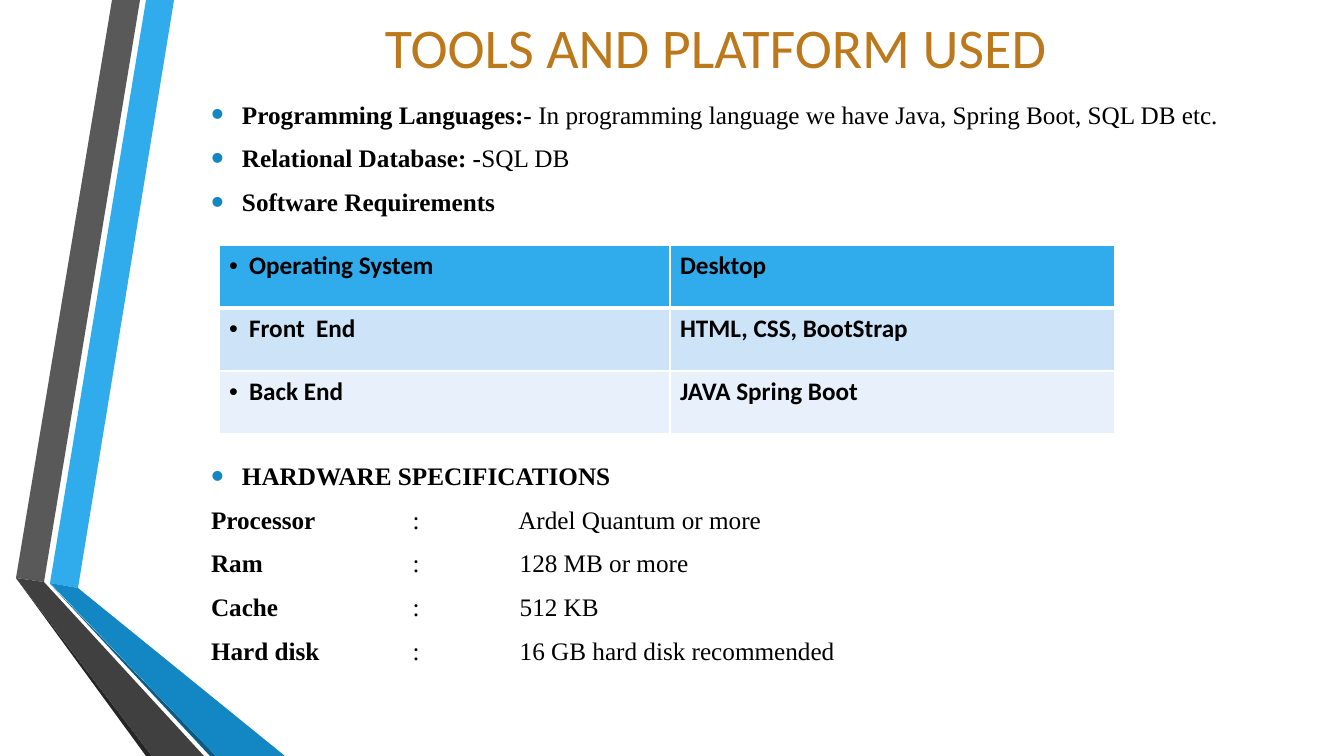
import pptx
import pptx.dml.color
import pptx.enum.text
import pptx.oxml
import pptx.oxml.ns
import pptx.util

RGB = pptx.dml.color.RGBColor
ALIGN = pptx.enum.text.PP_ALIGN
ANCHOR = pptx.enum.text.MSO_ANCHOR
FIT = pptx.enum.text.MSO_AUTO_SIZE
Pt = pptx.util.Pt

SCALE = 914400 / 100.8

BLACK = RGB(0x00, 0x00, 0x00)
GOLD = RGB(0xBC, 0x79, 0x1C)
SKY = RGB(0x30, 0xAC, 0xEC)
BLUE = RGB(0x12, 0x87, 0xC3)
NAVY = RGB(0x0C, 0x5A, 0x82)
GREY = RGB(0x59, 0x59, 0x59)
DARK = RGB(0x40, 0x40, 0x40)
COAL = RGB(0x26, 0x26, 0x26)
PALE = RGB(0xCD, 0xE3, 0xF8)
MIST = RGB(0xE8, 0xF1, 0xFB)
WHITE = RGB(0xFF, 0xFF, 0xFF)

RIBBON = [
    (SKY, [(50, 583), (78, 588), (174, 0), (146, 0)]),
    (GREY, [(140, 0), (112, 0), (16, 578), (44, 582)]),
    (COAL, [(16, 578), (146, 756), (152, 756)]),
    (NAVY, [(50, 584), (210, 756), (216, 756)]),
    (BLUE, [(50, 583), (216, 756), (285, 756), (78, 588)]),
    (DARK, [(204, 756), (44, 582), (16, 578), (152, 756)]),
]
TOPICS = [
    ("Programming Languages:-",
     " In programming language we have Java, Spring Boot, SQL DB etc."),
    ("Relational Database: -", "SQL DB"),
    ("Software Requirements", ""),
    ("HARDWARE SPECIFICATIONS", ""),
]
# Label, tabs up to the colon, value
PARTS = [
    ("Processor", 2, "Ardel Quantum or more"),
    ("Ram", 3, "128 MB or more"),
    ("Cache", 3, "512 KB"),
    ("Hard disk", 2, "16 GB hard disk recommended"),
]
TOOLS = [
    (SKY, 3, "Operating System", "Desktop"),
    (PALE, 1, "Front  End", "HTML, CSS, BootStrap"),
    (MIST, 1, "Back End", "JAVA Spring Boot"),
]

HEAD = {"name": "Calibri", "size": Pt(40), "bold": False}
PLAIN = {"name": "Times New Roman", "size": Pt(18), "bold": False}
STRONG = {**PLAIN, "bold": True}
CELL = {"name": "Calibri", "size": Pt(18), "bold": True}
FRAME = {"word_wrap": True, "auto_size": FIT.NONE,
         "margin_left": 0, "margin_right": 0,
         "margin_top": 0, "margin_bottom": 0}
GAPS = {"space_before": Pt(3.6), "space_after": Pt(6),
        "line_spacing": 1.0, "alignment": ALIGN.LEFT}
TABLE_GAP = Pt(168)


def px(n):
    return round(n * SCALE)


def apply(item, look):
    for key, value in look.items():
        setattr(item, key, value)


def place(shape, left, top, width, height):
    apply(shape, {"left": px(left), "top": px(top),
                  "width": px(width), "height": px(height)})


def write(para, text, look, color=BLACK):
    run = para.add_run()
    run.text = text
    apply(run.font, look)
    run.font.color.rgb = color


def add_xml(parent, xml):
    names = pptx.oxml.ns.nsdecls("a")
    parent.append(pptx.oxml.parse_xml(xml.replace(" ", f" {names} ", 1)))


def indent(para, left, hang):
    props = para._p.get_or_add_pPr()
    props.set("marL", str(px(left)))
    props.set("indent", str(px(-hang)))
    return props


def bullet(para, hang, color, size):
    props = indent(para, hang, hang)
    add_xml(props, f'<a:buClr ><a:srgbClr val="{color}"/></a:buClr>')
    add_xml(props, f'<a:buSzPct val="{size * 1000}"/>')
    add_xml(props, '<a:buFont typeface="Arial"/>')
    add_xml(props, '<a:buChar char="•"/>')


def unmark(para):
    """Turn the bullet and its indent off."""
    add_xml(indent(para, 0, 0), "<a:buNone />")


def add_band(slide, color, points):
    maker = slide.shapes.build_freeform(*points[0], scale=SCALE)
    maker.add_line_segments(points[1:], close=True)
    band = maker.convert_to_shape()
    band.shadow.inherit = False
    band.fill.solid()
    band.fill.fore_color.rgb = color
    band.line.fill.background()


def add_title(slide):
    title = slide.shapes.title
    place(title, 163, 0, 1105, 92)
    frame = title.text_frame
    apply(frame, {**FRAME, "vertical_anchor": ANCHOR.MIDDLE})
    para = frame.paragraphs[0]
    para.alignment = ALIGN.CENTER
    write(para, "TOOLS AND PLATFORM USED", HEAD, GOLD)


def add_list(slide):
    body = slide.placeholders[1]
    place(body, 211, 99, 1094, 600)
    frame = body.text_frame
    apply(frame, {**FRAME, "vertical_anchor": ANCHOR.TOP})
    for i, (label, text) in enumerate(TOPICS):
        para = frame.add_paragraph() if i else frame.paragraphs[0]
        apply(para, GAPS)
        bullet(para, 31, BLUE, 145)
        write(para, label, STRONG)
        if text:
            write(para, text, PLAIN)
    frame.paragraphs[0].space_before = Pt(0)
    para.space_before = TABLE_GAP
    for label, steps, text in PARTS:
        para = frame.add_paragraph()
        apply(para, GAPS)
        unmark(para)
        write(para, label, STRONG)
        write(para, "\t" * steps + f":\t\t {text}", PLAIN)


def edge(cell, **widths):
    props = cell._tc.get_or_add_tcPr()
    for i, (side, width) in enumerate(widths.items()):
        names = pptx.oxml.ns.nsdecls("a")
        line = pptx.oxml.parse_xml(
            f'<a:ln{side} {names} w="{Pt(width)}"><a:solidFill>'
            f'<a:srgbClr val="{WHITE}"/></a:solidFill></a:ln{side}>')
        props.insert(i, line)


def add_tools(slide):
    frame = slide.shapes.add_table(
        len(TOOLS), 2, px(219), px(245), px(896), px(189))
    table = frame.table
    for col, width in zip(table.columns, (451, 445)):
        col.width = px(width)
    above = 1
    for r, (color, below, *texts) in enumerate(TOOLS):
        table.rows[r].height = px(63)
        for c, text in enumerate(texts):
            cell = table.cell(r, c)
            cell.fill.solid()
            cell.fill.fore_color.rgb = color
            edge(cell, L=1, R=1, T=above, B=below)
            para = cell.text_frame.paragraphs[0]
            if c == 0:
                bullet(para, 20, BLACK, 100)
            write(para, text, CELL)
        above = below


def main():
    deck = pptx.Presentation()
    deck.slide_width, deck.slide_height = px(1344), px(756)
    slide = deck.slides.add_slide(deck.slide_layouts[1])
    for color, points in RIBBON:
        add_band(slide, color, points)
    add_title(slide)
    add_list(slide)
    add_tools(slide)
    deck.save("out.pptx")


if __name__ == "__main__":
    main()
